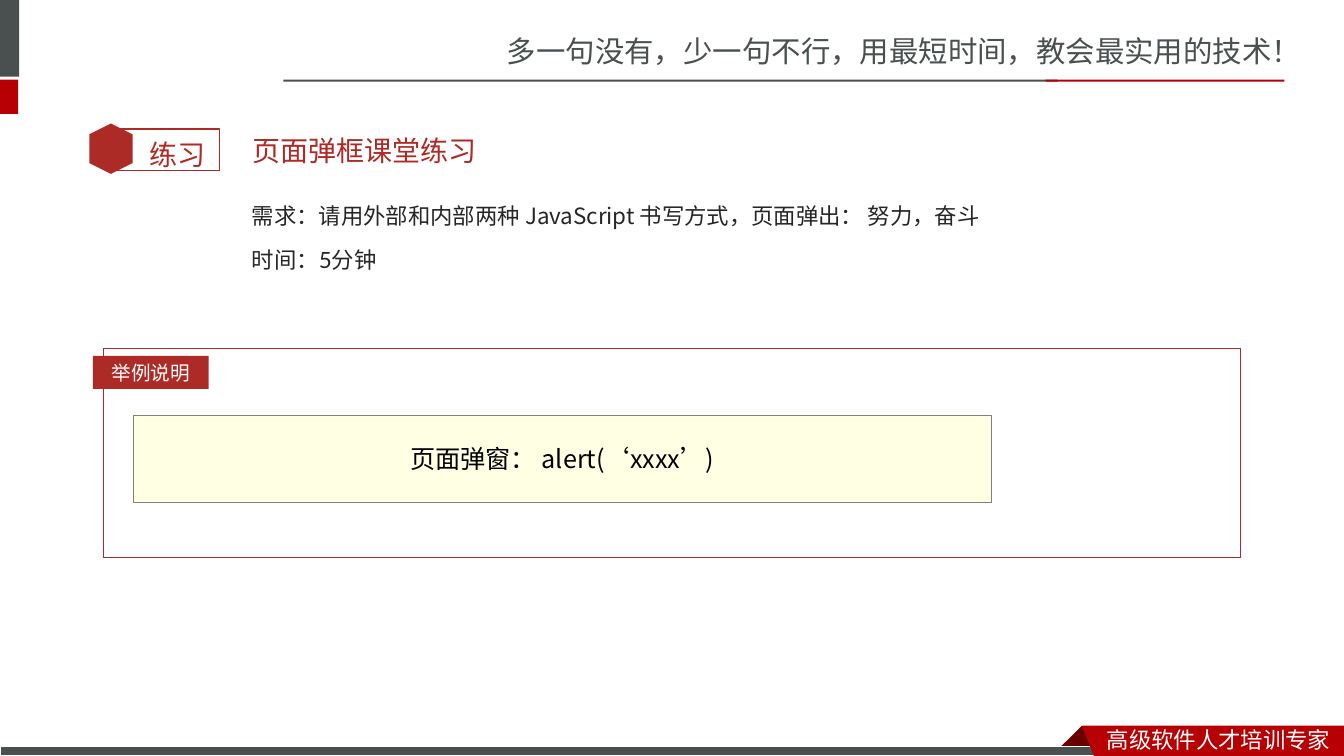
from dataclasses import dataclass
from typing import Any, Optional

from lxml import etree
from pptx import Presentation
from pptx import util as u
from pptx.dml import color
from pptx.enum import shapes, text
from pptx.oxml import ns


@dataclass(frozen=True)
class Theme:
    dark: str = "49504F"
    red: str = "B60004"
    fold: str = "680000"
    brick: str = "AD2B26"
    title: str = "AD2A26"
    ink: str = "262626"
    black: str = "000000"
    white: str = "FFFFFF"
    cream: str = "FFFFE4"
    gray: str = "808080"
    sans: str = "Noto Sans CJK SC"
    code: str = "Noto Sans CJK JP"
    lato: str = "Lato"
    head: str = "Calibri"
    slogan: float = 21
    large: float = 20
    medium: float = 18
    body: float = 16
    label: float = 14


T = Theme()
Box = tuple[float, float, float, float]
Point = tuple[float, float]
RECT = shapes.MSO_SHAPE.RECTANGLE
HEX = shapes.MSO_SHAPE.HEXAGON
MID = text.MSO_ANCHOR.MIDDLE
TOP = text.MSO_ANCHOR.TOP
LEFT = text.PP_ALIGN.LEFT
CENTER = text.PP_ALIGN.CENTER


@dataclass(frozen=True)
class Run:
    words: str
    size: float
    face: str
    tint: str


@dataclass(frozen=True)
class Copy:
    lines: list[list[Run]]
    anchor: Any = TOP
    align: Any = LEFT
    pitch: float = 1.0
    before: float = 0


@dataclass(frozen=True)
class Panel:
    box: Box
    fill: Optional[str] = None
    line: Optional[str] = None
    width: float = 0.75
    kind: Any = RECT
    turn: float = 0
    copy: Optional[Copy] = None


@dataclass(frozen=True)
class Ribbon:
    points: list[Point]
    fill: str


@dataclass(frozen=True)
class Label:
    box: Box
    copy: Copy


def apply(target: Any, values: dict[str, Any]) -> None:
    for name, value in values.items():
        setattr(target, name, value)


def place(shape: Any, box: Box) -> None:
    apply(shape, dict(zip(("left", "top", "width", "height"), map(u.Inches, box))))


def paint(shape: Any, fill: Optional[str], line: Optional[str] = None,
          width: float = 0.75) -> None:
    shape.shadow.inherit = False
    for part, tint in ((shape.fill, fill), (shape.line.fill, line)):
        if tint:
            part.solid()
            part.fore_color.rgb = color.RGBColor.from_string(tint)
        else:
            part.background()
    if line:
        shape.line.width = u.Pt(width)


def write(shape: Any, copy: Copy) -> None:
    frame = shape.text_frame
    apply(frame, {"word_wrap": True, "vertical_anchor": copy.anchor,
                  "auto_size": text.MSO_AUTO_SIZE.NONE})
    for index, line in enumerate(copy.lines):
        para = frame.add_paragraph() if index else frame.paragraphs[0]
        apply(para, {"alignment": copy.align, "line_spacing": copy.pitch,
                     "space_before": u.Pt(copy.before)})
        for item in line:
            run = para.add_run()
            run.text = item.words
            apply(run.font, {"size": u.Pt(item.size), "name": item.face, "bold": False})
            run.font.color.rgb = color.RGBColor.from_string(item.tint)
            east = etree.SubElement(run.font._element, ns.qn("a:ea"))
            east.set("typeface", T.sans)


def draw_panel(slide: Any, panel: Panel) -> None:
    shape = slide.shapes.add_shape(panel.kind, *map(u.Inches, panel.box))
    shape.rotation = panel.turn
    paint(shape, panel.fill, panel.line, panel.width)
    if panel.copy:
        write(shape, panel.copy)


def draw_ribbon(slide: Any, ribbon: Ribbon) -> None:
    first, *rest = [(u.Inches(x), u.Inches(y)) for x, y in ribbon.points]
    pen = slide.shapes.build_freeform(*first)
    pen.add_line_segments(rest, close=True)
    paint(pen.convert_to_shape(), ribbon.fill)


def draw_label(slide: Any, label: Label) -> None:
    write(slide.shapes.add_textbox(*map(u.Inches, label.box)), label.copy)


DRAW = {Panel: draw_panel, Ribbon: draw_ribbon, Label: draw_label}

TITLE = Label((2.4, 1.21, 10.08, 0.57), Copy(
    [[Run("页面弹框课堂练习", T.large, T.head, T.title)]], anchor=MID, before=4))

ITEMS = [
    Label((4.93, 0.28, 8.4, 0.47), Copy(
        [[Run("多一句没有，少一句不行，用最短时间，教会最实用的技术！",
              T.slogan, T.sans, T.dark)]])),
    Panel((0, 0, 0.19, 0.76), T.dark),
    Panel((0, 0.79, 0.18, 0.34), T.red),
    Panel((2.81, 0.79, 7.68, 0.02), T.dark),
    Panel((10.37, 0.79, 2.37, 0.02), T.red),
    Ribbon([(10.73, 7.2), (10.95, 7.42), (10.94, 7.43), (10.52, 7.43), (10.51, 7.42)],
           T.fold),
    Panel((0, 7.41, 10.99, 0.09), T.dark, T.white),
    Ribbon([(10.73, 7.2), (13.33, 7.2), (13.33, 7.5), (10.85, 7.5)], T.red),
    Label((10.88, 7.15, 2.45, 0.35), Copy(
        [[Run("高级软件人才培训专家", T.body, T.sans, T.white)]])),
    Panel((1.09, 1.28, 1.09, 0.41), line=T.brick, width=1),
    Panel((0.85, 1.26, 0.5, 0.43), T.brick, kind=HEX, turn=90),
    Label((1.38, 1.15, 0.85, 0.56), Copy(
        [[Run("练习", T.large, T.lato, T.brick)]], pitch=1.5)),
    Label((2.4, 1.82, 10.08, 4.98), Copy(
        [[Run("需求：", T.body, T.lato, T.ink),
          Run("请用外部和内部两种 JavaScript 书写方式，页面弹出： 努力，奋斗",
              T.body, T.sans, T.ink)],
         [Run("时间：5分钟", T.body, T.lato, T.ink)]], pitch=1.5, before=3.2)),
    Panel((1.03, 3.46, 11.27, 2.07), line=T.brick),
    Panel((0.92, 3.53, 1.15, 0.33), T.brick, copy=Copy(
        [[Run("举例说明", T.label, T.lato, T.white)]], MID, CENTER)),
    Panel((1.32, 4.12, 8.51, 0.86), T.cream, T.gray, 0.25, copy=Copy(
        [[Run("页面弹窗： alert(‘xxxx’)", T.medium, T.code, T.black)]], MID, CENTER)),
]


def main() -> None:
    deck = Presentation()
    apply(deck, {"slide_width": u.Inches(13.33), "slide_height": u.Inches(7.5)})
    slide = deck.slides.add_slide(deck.slide_layouts[5])
    place(slide.shapes.title, TITLE.box)
    write(slide.shapes.title, TITLE.copy)
    for item in ITEMS:
        DRAW[type(item)](slide, item)
    deck.save("out.pptx")


if __name__ == "__main__":
    main()
